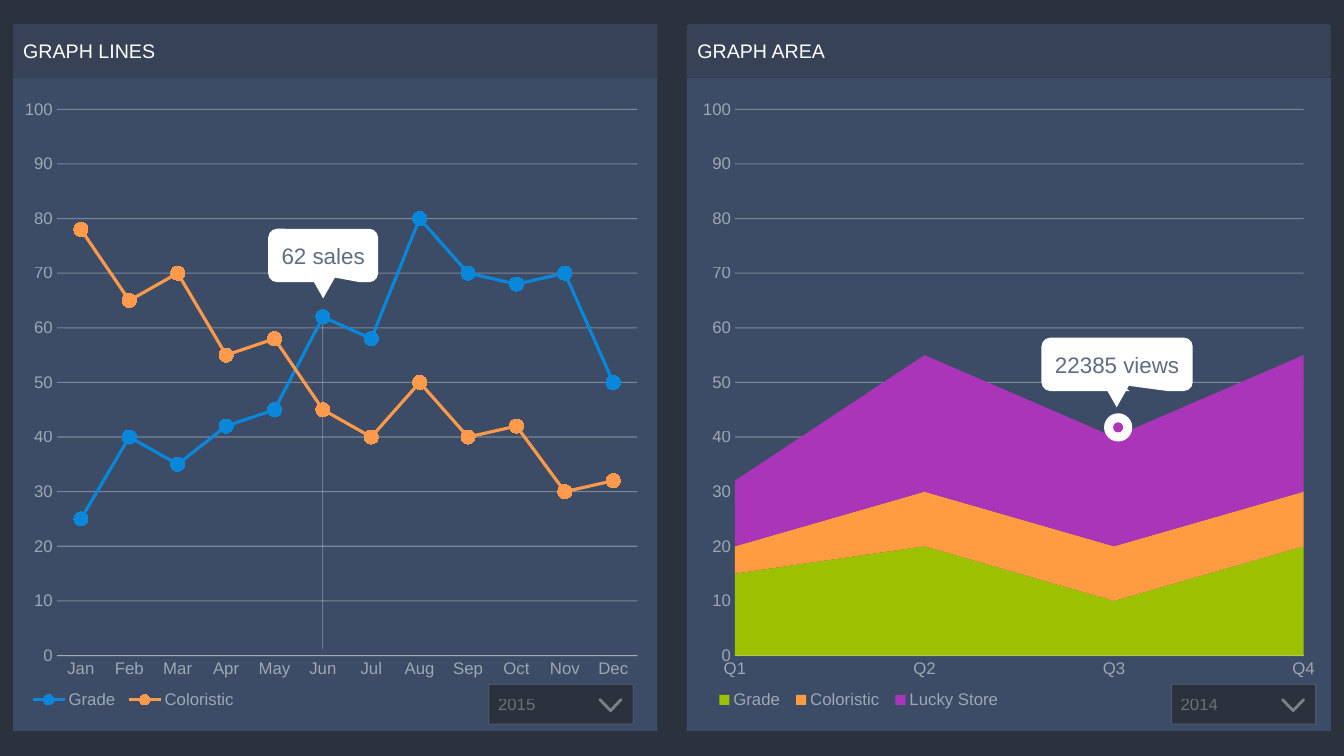
"""Builds a dark dashboard slide with a line chart and a stacked area chart."""
from pptx import Presentation
from pptx.chart.data import CategoryChartData as Data
from pptx.dml.color import RGBColor
from pptx.enum.chart import XL_CHART_TYPE as Kind, XL_LEGEND_POSITION as Spot
from pptx.enum.chart import XL_MARKER_STYLE as Mark, XL_TICK_MARK as Tick
from pptx.enum.shapes import MSO_CONNECTOR as Wire, MSO_SHAPE as Form
from pptx.enum.text import MSO_ANCHOR as Anchor, PP_ALIGN as Align
from pptx.oxml.ns import qn
from pptx.oxml.xmlchemy import OxmlElement as Node
from pptx.util import Inches, Pt


def put(item, **vals):
    """Set attributes from format values."""
    for name, val in vals.items():
        setattr(item, name, val)


def make(tag, val):
    """Make an XML element with a value."""
    node = Node(tag)
    node.set("val", str(val))
    return node


def paint(fill, tone, alpha=None):
    """Fill with a hex colour and an optional opacity in percent."""
    fill.solid()
    fill.fore_color.rgb = RGBColor.from_string(tone)
    if alpha is not None:
        fill._xPr.find(qn("a:solidFill"))[0].append(make("a:alpha", alpha * 1000))


def draw(line, tone, width, alpha=None):
    """Format an outline."""
    paint(line.fill, tone, alpha)
    line.width = Pt(width)


def fix(parent, index, box, inner=False):
    """Give a chart part a fixed place in fractions of the chart."""
    for old in parent.findall(qn("c:layout")):
        parent.remove(old)
    layout, manual = Node("c:layout"), Node("c:manualLayout")
    layout.append(manual)
    vals = {"layoutTarget": "inner"} if inner else {}
    vals |= {"xMode": "edge", "yMode": "edge"}
    vals |= dict(zip("xywh", box))
    for name, val in vals.items():
        manual.append(make(f"c:{name}", val))
    parent.insert(index, layout)


def cross(axis, mode):
    """Set where the value axis meets the categories."""
    for old in axis.findall(qn("c:crossBetween")):
        axis.remove(old)
    last = axis.find(qn("c:crosses"))
    if last is None:
        last = axis.find(qn("c:crossAx"))
    last.addnext(make("c:crossBetween", mode))


class Board:
    """Holds the style and the current slide."""

    font, white, dark = "Arial", "FFFFFF", "2B313D"
    panel, head = "3C4C66", "374256"

    def __init__(self, deck):
        """Open a title-only slide with a dark background."""
        self.slide = deck.slides.add_slide(deck.slide_layouts[5])
        paint(self.slide.background.fill, self.dark)

    def shape(self, form, box, tone, alpha=None, adj=(), turn=0, home=None):
        """Add a filled shape without outline."""
        home = home or self.slide
        item = home.shapes.add_shape(form, *map(Inches, box))
        put(item, rotation=turn)
        item.shadow.inherit = False
        paint(item.fill, tone, alpha)
        item.line.fill.background()
        for i, val in enumerate(adj):
            item.adjustments[i] = val
        return item

    def text(self, item, words, size, tone, alpha=None, align=Align.LEFT, left=0.1):
        """Write one line of text in a shape."""
        frame = item.text_frame
        put(frame, text=words, word_wrap=True, vertical_anchor=Anchor.MIDDLE,
            margin_left=Inches(left), margin_right=Inches(0.1),
            margin_top=Inches(0.05), margin_bottom=Inches(0.05))
        para = frame.paragraphs[0]
        para.alignment = align
        font = para.runs[0].font
        put(font, name=self.font, size=Pt(size))
        paint(font.fill, tone, alpha)

    def title(self, box, words):
        """Place and format the title as a header bar."""
        item = self.slide.shapes.title
        put(item, **dict(zip(("left", "top", "width", "height"), map(Inches, box))))
        geom = Node("a:prstGeom")
        geom.set("prst", "roundRect")
        geom.append(Node("a:avLst"))
        item._element.spPr.insert(1, geom)
        item.adjustments[0] = 0.055
        paint(item.fill, self.head)
        self.text(item, words, 14, self.white)

    def header(self, box, words):
        """Add a header bar."""
        item = self.shape(Form.ROUNDED_RECTANGLE, box, self.head, adj=[0.055])
        self.text(item, words, 14, self.white)

    def guide(self, x, top, end):
        """Add a faint vertical line."""
        line = self.slide.shapes.add_connector(
            Wire.STRAIGHT, *map(Inches, (x, top, x, end)))
        draw(line.line, self.white, 0.75, 25)
        line._element.spPr.append(Node("a:effectLst"))

    def chart(self, kind, left, cats, rows, plot, key, axis):
        """Add a chart with the shared axis and legend style."""
        data = Data()
        data.categories = cats
        for name, vals, _ in rows:
            data.add_series(name, vals)
        chart = self.slide.shapes.add_chart(
            kind, *map(Inches, (left, 0.87, 6.33, 6.31)), data).chart
        put(chart, has_title=False, has_legend=True)
        put(chart.font, name=self.font, size=Pt(10))
        put(chart.legend, position=Spot.BOTTOM, include_in_layout=False)
        cat, val = chart.category_axis, chart.value_axis
        put(val, minimum_scale=0, maximum_scale=100, major_unit=10,
            has_major_gridlines=True)
        draw(val.major_gridlines.format.line, self.white, 0.75, 32)
        val.format.line.fill.background()
        draw(cat.format.line, *axis)
        for item in (cat, val):
            put(item, major_tick_mark=Tick.NONE, minor_tick_mark=Tick.NONE)
        for font in (cat.tick_labels.font, val.tick_labels.font, chart.legend.font):
            put(font, name=self.font, size=Pt(12))
            paint(font.fill, self.white, 50)
        fix(chart._chartSpace.chart.plotArea, 0, plot, True)
        fix(chart.legend._element, 1, key)
        lined = kind == Kind.LINE_MARKERS
        cross(val._element, "between" if lined else "midCat")
        chart.plots[0].vary_by_categories = False
        for part, (_, _, tone) in zip(chart.plots[0].series, rows):
            if lined:
                part.smooth = False
                draw(part.format.line, tone, 2.25)
                put(part.marker, style=Mark.CIRCLE, size=10)
                paint(part.marker.format.fill, tone)
                draw(part.marker.format.line, tone, 0.75)
            else:
                paint(part.format.fill, tone)

    def picker(self, left, year):
        """Add a year drop-down."""
        group = self.slide.shapes.add_group_shape()
        box = self.shape(Form.ROUNDED_RECTANGLE, (left, 6.79, 1.43, 0.39),
                         self.dark, adj=[0], home=group)
        draw(box.line, self.white, 0.75, 13)
        self.text(box, year, 12, "F2F2F2", 33, left=0.09)
        arrow = self.shape(Form.CHEVRON, (left + 1.15, 6.89, 0.11, 0.21),
                           "C83A64", 6, [1], 90, group)
        draw(arrow.line, self.white, 2, 38)

    def tip(self, box, words, point):
        """Add a callout with a pointer below it."""
        group = self.slide.shapes.add_group_shape()
        item = self.shape(Form.ROUNDED_RECTANGULAR_CALLOUT, box, self.white,
                          adj=(0.028, 0.383, 0.167), home=group)
        self.text(item, words, 16, self.panel, 81, Align.CENTER)
        self.shape(Form.ISOSCELES_TRIANGLE, (point, box[1] + 0.4, 0.33, 0.29),
                   self.white, turn=180, home=group)

    def dot(self, x, y, size, tone):
        """Add a circle around a centre."""
        self.shape(Form.OVAL, (x - size / 2, y - size / 2, size, size), tone)


def main():
    """Build and save the slide."""
    deck = Presentation()
    put(deck, slide_width=Inches(13.33), slide_height=Inches(7.5))
    board = Board(deck)
    lefts = (0.13, 6.81)
    for left in lefts:
        board.shape(Form.ROUNDED_RECTANGLE, (left, 0.77, 6.39, 6.48), board.panel, adj=[0])
    board.title((lefts[0], 0.24, 6.39, 0.53), "GRAPH LINES")
    board.header((lefts[1], 0.24, 6.39, 0.53), "GRAPH AREA")
    board.guide(3.2, 3.15, 6.44)
    months = "Jan Feb Mar Apr May Jun Jul Aug Sep Oct Nov Dec".split()
    sales = [("Grade", (25, 40, 35, 42, 45, 62, 58, 80, 70, 68, 70, 50), "0987DB"),
             ("Coloristic", (78, 65, 70, 55, 58, 45, 40, 50, 40, 42, 30, 32), "FF9A4D")]
    views = [("Grade", (15, 20, 10, 20), "9CC101"), ("Coloristic", (5, 10, 10, 10), "FF9C41"),
             ("Lucky Store", (12, 25, 20, 25), "AB35B9")]
    board.chart(Kind.LINE_MARKERS, 0.12, months, sales, (0.07, 0.034, 0.91, 0.859),
                (0.02, 0.94, 0.34, 0.045), ("FFFFFF", 0.75, 29))
    board.picker(4.85, "2015")
    board.chart(Kind.AREA_STACKED, 6.84, ("Q1", "Q2", "Q3", "Q4"), views,
                (0.071, 0.034, 0.891, 0.859), (0.03, 0.94, 0.47, 0.045), ("D9D9D9", 0.75))
    board.picker(11.62, "2014")
    board.tip((2.66, 2.27, 1.09, 0.53), "62 sales", 3.04)
    board.tip((10.33, 3.35, 1.5, 0.53), "22385 views", 10.91)
    for size, tone in ((0.28, "FFFFFF"), (0.1, "AB35B9")):
        board.dot(11.09, 4.24, size, tone)
    deck.save("out.pptx")


if __name__ == "__main__":
    main()
